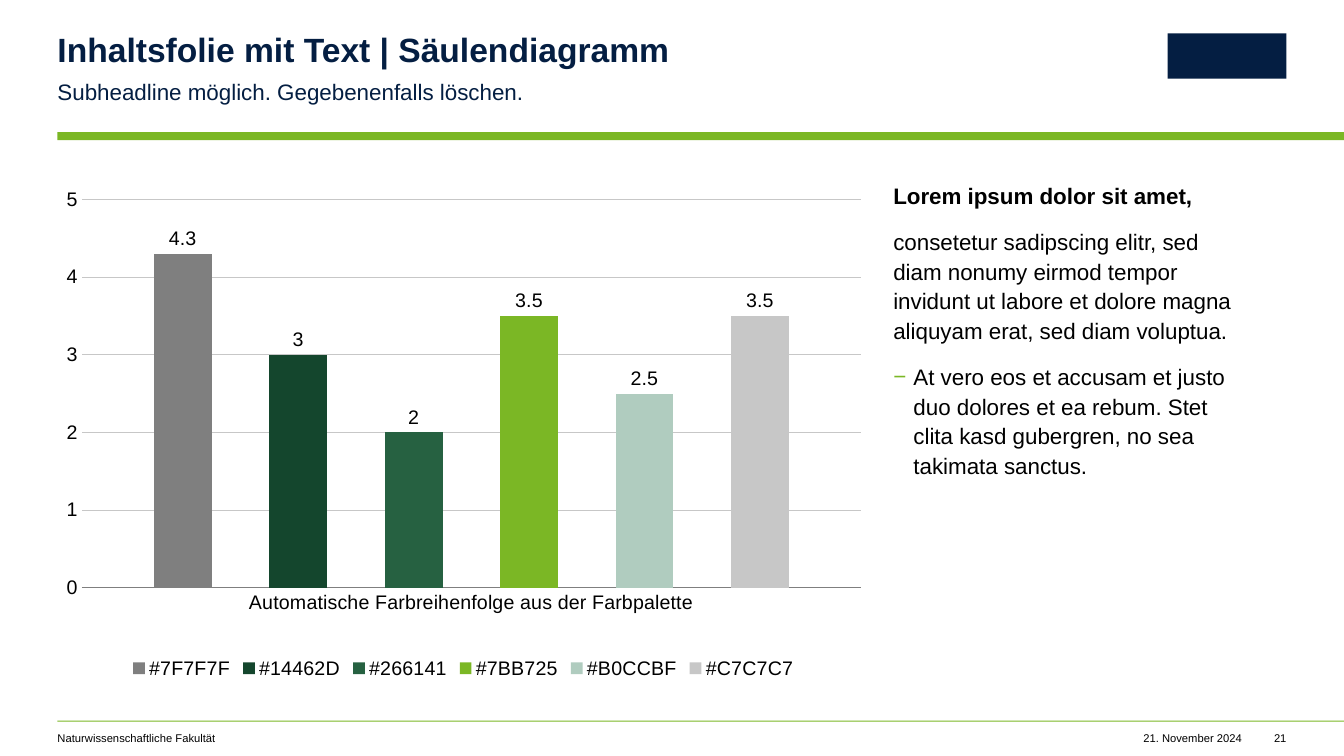
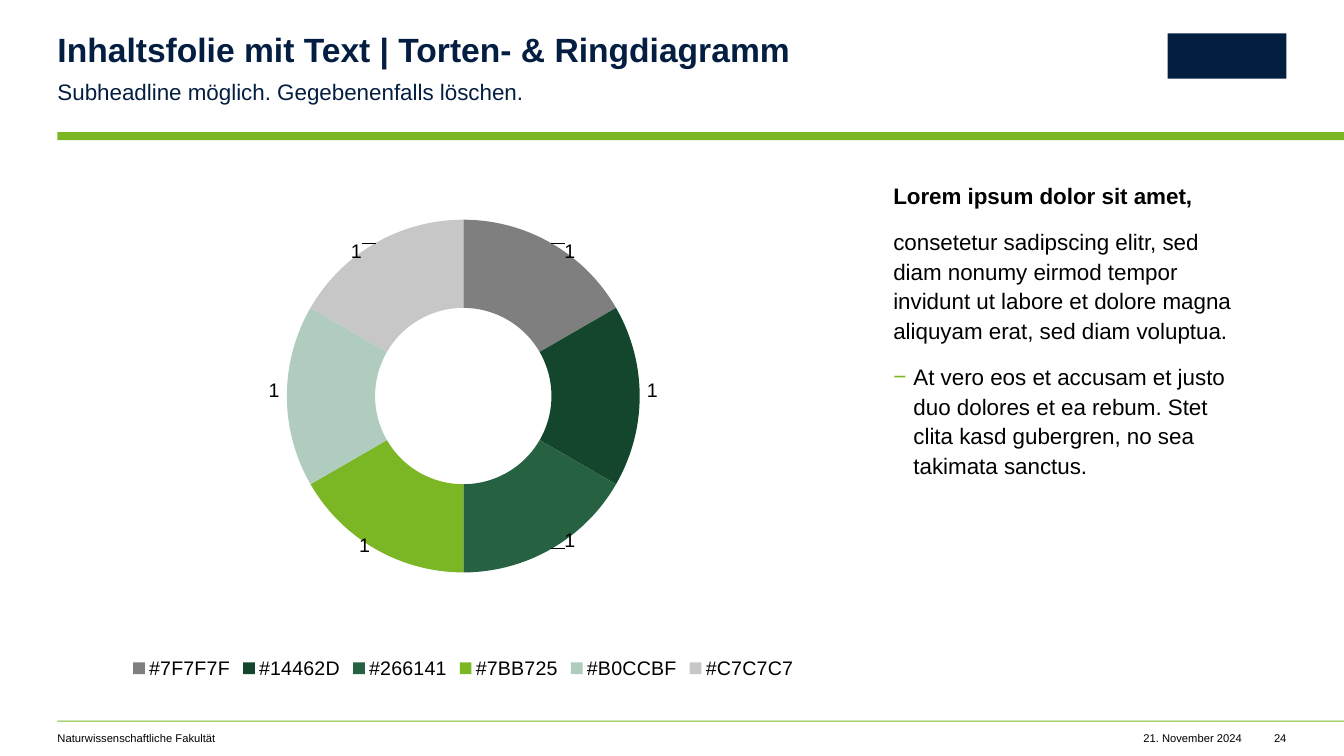
from collections import namedtuple

from lxml import etree
from pptx import Presentation
from pptx.chart.data import CategoryChartData
from pptx.dml.color import RGBColor
from pptx.enum.chart import XL_CHART_TYPE, XL_LABEL_POSITION, XL_LEGEND_POSITION, XL_TICK_MARK
from pptx.enum.shapes import MSO_SHAPE
from pptx.enum.text import MSO_ANCHOR, PP_ALIGN
from pptx.oxml.ns import qn
from pptx.util import Inches, Pt

COLUMN = XL_CHART_TYPE.COLUMN_CLUSTERED
DOUGHNUT = XL_CHART_TYPE.DOUGHNUT
OUTSIDE_END = XL_LABEL_POSITION.OUTSIDE_END
BOTTOM = XL_LEGEND_POSITION.BOTTOM
NO_TICK = XL_TICK_MARK.NONE
RECTANGLE = MSO_SHAPE.RECTANGLE
TOP = MSO_ANCHOR.TOP
LEFT, RIGHT = PP_ALIGN.LEFT, PP_ALIGN.RIGHT

Box = namedtuple("Box", "left top width height")

SLIDE_WIDTH, SLIDE_HEIGHT = 13.33, 7.5
MARGIN = 0.57
RIGHT_EDGE = SLIDE_WIDTH - MARGIN
CONTENT_TOP, CONTENT_HEIGHT = 1.78, 5
TEXT_LEFT = 8.86
HEAD_WIDTH = 7.49
FOOTER_TOP, FOOTER_HEIGHT = 7.26, 0.13
CHART_BOX = Box(MARGIN, CONTENT_TOP, 8.05, CONTENT_HEIGHT)
TEXT_BOX = Box(TEXT_LEFT, CONTENT_TOP, RIGHT_EDGE - TEXT_LEFT, CONTENT_HEIGHT)

FONT = "Arial"
NAVY, GREEN, BLACK = "041E42", "7BB725", "000000"
GRAY, LIGHT_GRAY = "7F7F7F", "C7C7C7"
PALETTE = [GRAY, "14462D", "266141", GREEN, "B0CCBF", LIGHT_GRAY]
PALETTE_NAMES = [f"#{color}" for color in PALETTE]

TITLE_FORMAT = {"size": 24, "color": NAVY, "bold": True}
SUBHEAD_FORMAT = {"size": 16, "color": NAVY}
FOOTER_FORMAT = {"size": 8}
BODY_FORMAT = {"size": 16}
CHART_FORMAT = {"size": 14}
BODY_SPACING = {"line_spacing": 1.1, "space_after": Pt(12)}

SUBHEAD = "Subheadline möglich. Gegebenenfalls löschen."
FACULTY = "Naturwissenschaftliche Fakultät"
DATE = "21. November 2024"
LEAD = "Lorem ipsum dolor sit amet,"
BODY = (
    "consetetur sadipscing elitr, sed diam nonumy eirmod tempor invidunt "
    "ut labore et dolore magna aliquyam erat, sed diam voluptua."
)
POINT = (
    "At vero eos et accusam et justo duo dolores et ea rebum. "
    "Stet clita kasd gubergren, no sea takimata sanctus."
)

COLUMN_VALUES = [4.3, 3, 2, 3.5, 2.5, 3.5]
RING_VALUES = [1] * len(PALETTE)
LABEL_OFFSETS = [(0.05, -0.06), (0.07, -0.01), (0.05, 0.06), (-0.04, 0.07), (-0.07, -0.01), (-0.05, -0.06)]


def rgb(color):
    return RGBColor.from_string(color)


def inches(box):
    return [Inches(length) for length in box]


def set_all(target, values):
    for name, value in values.items():
        setattr(target, name, value)


def format_font(font, size, color=BLACK, bold=False):
    set_all(font, {"name": FONT, "size": Pt(size), "bold": bold})
    font.color.rgb = rgb(color)


def add_element(parent, tag, **attributes):
    return etree.SubElement(parent, qn(tag), attributes)


def add_bar(slide, box, color):
    shape = slide.shapes.add_shape(RECTANGLE, *inches(box))
    shape.shadow.inherit = False
    shape.fill.solid()
    shape.fill.fore_color.rgb = rgb(color)
    shape.line.fill.background()


def prepare_frame(frame, right_inset=0):
    set_all(frame, {
        "margin_left": 0, "margin_top": 0, "margin_bottom": 0,
        "margin_right": Inches(right_inset),
        "word_wrap": True, "vertical_anchor": TOP,
    })


def write(paragraph, text, font_format, alignment=LEFT, **spacing):
    set_all(paragraph, {"alignment": alignment, **spacing})
    run = paragraph.add_run()
    run.text = text
    format_font(run.font, **font_format)


def add_text(slide, box, text, font_format, **paragraph_format):
    frame = slide.shapes.add_textbox(*inches(box)).text_frame
    prepare_frame(frame)
    write(frame.paragraphs[0], text, font_format, **paragraph_format)


def add_header(slide, title):
    shape = slide.shapes.title
    position = inches(Box(MARGIN, 0.33, HEAD_WIDTH, 0.36))
    set_all(shape, dict(zip(Box._fields, position)))
    prepare_frame(shape.text_frame)
    write(shape.text_frame.paragraphs[0], title, TITLE_FORMAT, line_spacing=0.9)
    add_text(slide, Box(MARGIN, 0.75, HEAD_WIDTH, 0.27), SUBHEAD, SUBHEAD_FORMAT, **BODY_SPACING)
    add_bar(slide, Box(RIGHT_EDGE - 1.18, 0.33, 1.18, 0.45), NAVY)
    add_bar(slide, Box(MARGIN, 1.31, SLIDE_WIDTH - MARGIN, 0.08), GREEN)


def add_footer(slide, number):
    add_bar(slide, Box(MARGIN, 7.15, SLIDE_WIDTH - MARGIN, 0.01), GREEN)
    entries = [
        (FACULTY, MARGIN, 5.98, LEFT),
        (DATE, 11.12, 1.2, RIGHT),
        (str(number), RIGHT_EDGE - 0.3, 0.3, RIGHT),
    ]
    for text, left, width, alignment in entries:
        box = Box(left, FOOTER_TOP, width, FOOTER_HEIGHT)
        add_text(slide, box, text, FOOTER_FORMAT, alignment=alignment)


def add_body(slide, box):
    frame = slide.shapes.add_textbox(*inches(box)).text_frame
    prepare_frame(frame, right_inset=0.39)
    write(frame.paragraphs[0], LEAD, {**BODY_FORMAT, "bold": True}, **BODY_SPACING)
    for text in (BODY, POINT):
        paragraph = frame.add_paragraph()
        write(paragraph, text, BODY_FORMAT, **BODY_SPACING)
    properties = paragraph._p.get_or_add_pPr()
    properties.set("marL", str(Inches(0.2)))
    properties.set("indent", str(-Inches(0.2)))
    add_element(add_element(properties, "a:buClr"), "a:srgbClr", val=GREEN)
    add_element(properties, "a:buFont", typeface=FONT)
    add_element(properties, "a:buChar", char="−")


def make_layout(**values):
    layout = etree.Element(qn("c:layout"))
    manual = add_element(layout, "c:manualLayout")
    for name, value in values.items():
        add_element(manual, f"c:{name}", val=str(value))
    return layout


def set_plot_area(chart, x, y, w, h):
    plot_area = chart._chartSpace.chart.plotArea
    for layout in plot_area.findall(qn("c:layout")):
        plot_area.remove(layout)
    plot_area.insert(0, make_layout(
        layoutTarget="inner", xMode="edge", yMode="edge", x=x, y=y, w=w, h=h
    ))


def add_chart(slide, box, chart_type, categories, series):
    data = CategoryChartData()
    data.categories = categories
    for name, values in series:
        data.add_series(name, values)
    chart = slide.shapes.add_chart(chart_type, *inches(box), data).chart
    chart.has_title = False
    chart.has_legend = True
    set_all(chart.legend, {"position": BOTTOM, "include_in_layout": False})
    for font in (chart.font, chart.legend.font):
        format_font(font, **CHART_FORMAT)
    return chart


def paint(item, color):
    item.format.fill.solid()
    item.format.fill.fore_color.rgb = rgb(color)


def draw_line(line, color):
    line.color.rgb = rgb(color)
    line.width = Pt(0.5)


def show_values(series):
    labels = series.data_labels
    labels.show_value = True
    format_font(labels.font, **CHART_FORMAT)
    return labels


def add_column_chart(slide, box):
    series = [(name, [value]) for name, value in zip(PALETTE_NAMES, COLUMN_VALUES)]
    categories = ["Automatische Farbreihenfolge aus der Farbpalette"]
    chart = add_chart(slide, box, COLUMN, categories, series)
    set_plot_area(chart, 0.03, 0.04, 0.96, 0.77)
    plot = chart.plots[0]
    set_all(plot, {"gap_width": 250, "overlap": -100, "vary_by_categories": False})
    for column, color in zip(plot.series, PALETTE):
        paint(column, color)
        column.invert_if_negative = False
        show_values(column).position = OUTSIDE_END
    for axis in (chart.category_axis, chart.value_axis):
        set_all(axis, {"major_tick_mark": NO_TICK, "minor_tick_mark": NO_TICK})
        format_font(axis.tick_labels.font, **CHART_FORMAT)
    draw_line(chart.category_axis.format.line, GRAY)
    value_axis = chart.value_axis
    set_all(value_axis, {"minimum_scale": 0, "maximum_scale": 5, "major_unit": 1})
    value_axis.format.line.fill.background()
    draw_line(value_axis.major_gridlines.format.line, LIGHT_GRAY)


def add_ring_chart(slide, box):
    chart = add_chart(slide, box, DOUGHNUT, PALETTE_NAMES, [("Series 1", RING_VALUES)])
    set_plot_area(chart, 0.21, 0.08, 0.58, 0.7)
    plot = chart.plots[0]
    plot.vary_by_categories = True
    plot._element.find(qn("c:holeSize")).set("val", "80")
    ring = plot.series[0]
    labels = show_values(ring)
    for index, color in enumerate(PALETTE):
        point = ring.points[index]
        paint(point, color)
        format_font(point.data_label.font, **CHART_FORMAT)
    for label, (x, y) in zip(labels._element.findall(qn("c:dLbl")), LABEL_OFFSETS):
        label.insert(1, make_layout(x=x, y=y))


def add_content_slide(presentation, title, number, draw_chart):
    slide = presentation.slides.add_slide(presentation.slide_layouts[5])
    add_header(slide, title)
    draw_chart(slide, CHART_BOX)
    add_body(slide, TEXT_BOX)
    add_footer(slide, number)


def main():
    presentation = Presentation()
    presentation.slide_width = Inches(SLIDE_WIDTH)
    presentation.slide_height = Inches(SLIDE_HEIGHT)
    add_content_slide(presentation, "Inhaltsfolie mit Text | Säulendiagramm", 21, add_column_chart)
    add_content_slide(presentation, "Inhaltsfolie mit Text | Torten- & Ringdiagramm", 24, add_ring_chart)
    presentation.save("out.pptx")


if __name__ == "__main__":
    main()
